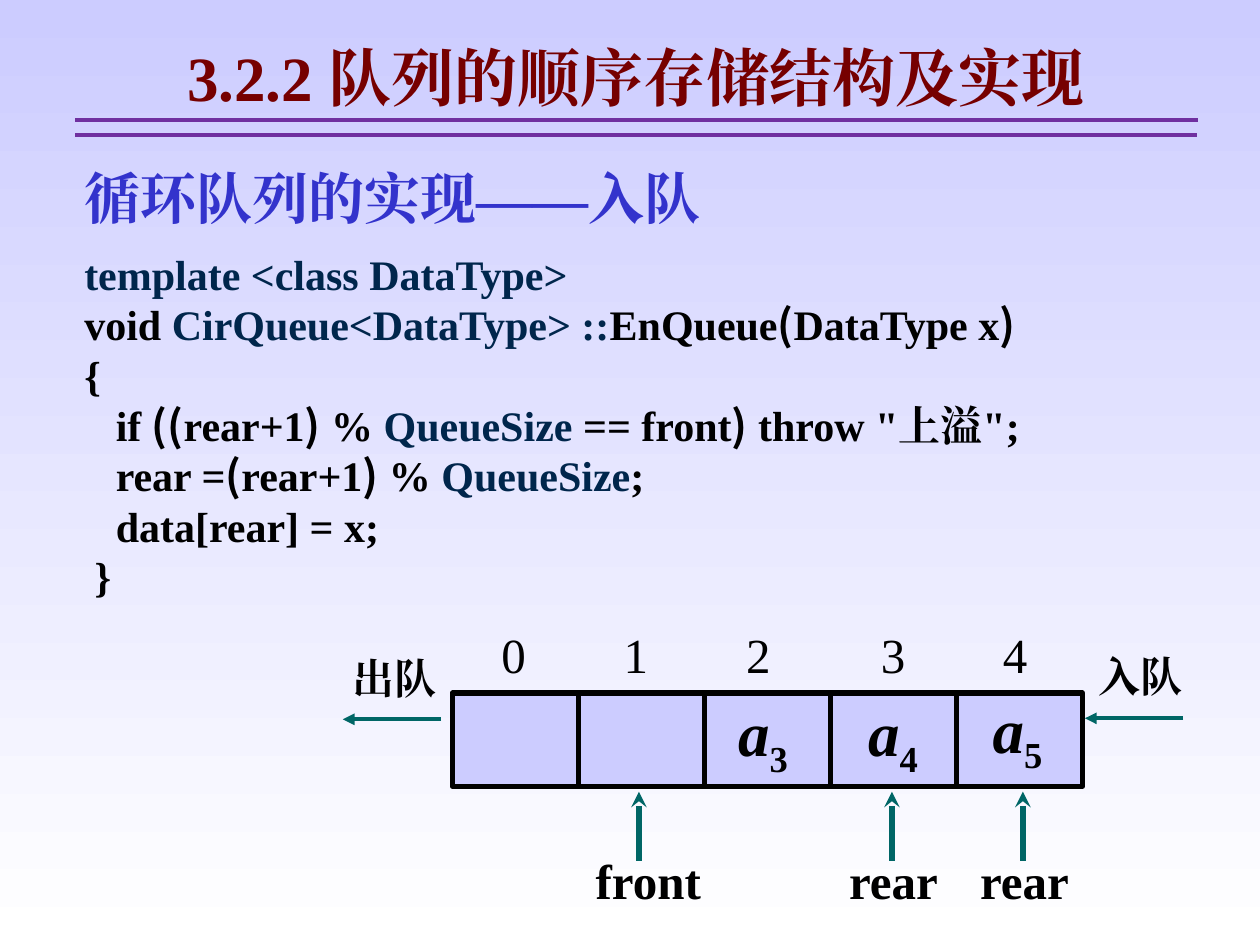
from dataclasses import dataclass
from itertools import groupby

from lxml import etree
from pptx import Presentation
from pptx import util as u
from pptx.dml.color import RGBColor
from pptx.enum import shapes, text
from pptx.oxml import ns

BLACK = RGBColor(0, 0, 0)
WHITE = RGBColor(255, 255, 255)
LAVENDER = RGBColor(0xCC, 0xCC, 0xFF)
MAROON = RGBColor(0x76, 0, 0)
BLUE = RGBColor(0x33, 0x33, 0xCC)
NAVY = RGBColor(0, 0x26, 0x4C)
TEAL = RGBColor(0, 0x66, 0x66)
PURPLE = RGBColor(0x70, 0x30, 0xA0)
SERIF = "Times New Roman"
SANS = "Noto Sans CJK SC"

CELL_LEFT, CELL_TOP, CELL_WIDTH, CELL_HEIGHT = 9.12, 13.97, 2.54, 1.88
INDEX_STOPS = (2.46, 4.93, 7.65, 10.11)

CODE = [
    [("template <class DataType>", NAVY)],
    [("void ", BLACK), ("CirQueue<DataType> ::", NAVY), ("EnQueue(DataType x)", BLACK)],
    [("{", BLACK)],
    [("   if ((rear+1) % ", BLACK), ("QueueSize", NAVY),
     (" == front) throw \"上溢\";", BLACK)],
    [("   rear =(rear+1) % ", BLACK), ("QueueSize", NAVY), (";", BLACK)],
    [("   data[rear] = x;", BLACK)],
    [(" }", BLACK)],
]


@dataclass
class Label:
    text: str
    left: float
    top: float
    width: float
    height: float
    size: float
    color: RGBColor = BLACK
    bold: bool = True


@dataclass
class Element:
    """A queue element such as a3, with its number as a subscript."""
    number: str
    left: float
    top: float


@dataclass
class Line:
    start: tuple[float, float]
    end: tuple[float, float]
    color: RGBColor
    width: float
    head: str = ""


LABELS = [
    Label("循环队列的实现——入队", 1.45, 3.17, 17.15, 1.63, 32, BLUE),
    Label("入队", 21.89, 12.98, 2.74, 1.27, 24),
    Label("出队", 6.86, 13.03, 2.54, 1.27, 24),
    Label("front", 11.76, 17.02, 2.67, 1.45, 28),
    Label("rear", 16.87, 17.02, 2.87, 1.45, 28),
    Label("rear", 19.51, 17.02, 2.87, 1.45, 28),
]
ELEMENTS = [Element("3", 14.63, 14.07), Element("4", 17.25, 14.07), Element("5", 19.76, 14)]
LINES = [
    Line((1.52, 2.41), (24.16, 2.41), PURPLE, 2.25),
    Line((1.52, 2.72), (24.13, 2.72), PURPLE, 2.25),
    Line((23.85, 14.48), (21.87, 14.48), TEAL, 2.25, "triangle"),
    Line((8.89, 14.5), (6.91, 14.5), TEAL, 2.25, "triangle"),
    *(Line((x, 17.35), (x, 15.96), TEAL, 3, "stealth") for x in (12.88, 17.98, 20.62)),
]


def format_run(run, size: float, color: RGBColor, bold: bool = True, font: str = SERIF) -> None:
    run.font.size = u.Pt(size)
    run.font.bold = bold
    run.font.color.rgb = color
    run.font.name = font
    east_asian = etree.SubElement(run._r.get_or_add_rPr(), ns.qn("a:ea"))
    east_asian.set("typeface", font)


def place(shape, left: float, top: float, width: float, height: float) -> None:
    shape.left, shape.top = u.Cm(left), u.Cm(top)
    shape.width, shape.height = u.Cm(width), u.Cm(height)


def add_box(slide, left: float, top: float, width: float, height: float):
    box = slide.shapes.add_textbox(u.Cm(left), u.Cm(top), u.Cm(width), u.Cm(height))
    box.text_frame.word_wrap = True
    return box


def fill_label(shape, label: Label) -> None:
    shape.text_frame.text = label.text
    paragraph = shape.text_frame.paragraphs[0]
    paragraph.line_spacing = u.Pt(label.size * 1.2)
    for run in paragraph.runs:
        format_run(run, label.size, label.color, label.bold)


def add_label(slide, label: Label):
    box = add_box(slide, label.left, label.top, label.width, label.height)
    fill_label(box, label)
    return box


def add_title(slide) -> None:
    label = Label("3.2.2 队列的顺序存储结构及实现", 1.68, 0.64, 22.28, 1.78, 36, MAROON)
    title = slide.shapes.title
    place(title, label.left, label.top, label.width, label.height)
    title.text_frame.vertical_anchor = text.MSO_ANCHOR.TOP
    title.text_frame.auto_size = text.MSO_AUTO_SIZE.NONE
    fill_label(title, label)
    title.text_frame.paragraphs[0].alignment = text.PP_ALIGN.CENTER


def add_code(slide) -> None:
    """Add the listing, with its round brackets in the sans font."""
    frame = add_box(slide, 1.7, 4.88, 22.02, 7.37).text_frame
    frame.margin_left = frame.margin_right = 0
    for index, segments in enumerate(CODE):
        paragraph = frame.add_paragraph() if index else frame.paragraphs[0]
        paragraph.line_spacing = u.Pt(28.8)
        for content, color in segments:
            for is_bracket, characters in groupby(content, lambda c: c in "()"):
                run = paragraph.add_run()
                run.text = "".join(characters)
                format_run(run, 24, color, font=SANS if is_bracket else SERIF)


def add_cell(slide, index: int) -> None:
    cell = slide.shapes.add_shape(
        shapes.MSO_SHAPE.RECTANGLE, u.Cm(CELL_LEFT + index * CELL_WIDTH), u.Cm(CELL_TOP),
        u.Cm(CELL_WIDTH), u.Cm(CELL_HEIGHT))
    cell.shadow.inherit = False
    cell.fill.solid()
    cell.fill.fore_color.rgb = LAVENDER
    cell.line.color.rgb = BLACK
    cell.line.width = u.Pt(3)


def add_indexes(slide) -> None:
    box = add_label(slide, Label("0\t1\t2\t3\t4", 9.86, 12.47, 11.89, 1.45, 28, bold=False))
    properties = box.text_frame.paragraphs[0]._p.get_or_add_pPr()
    tabs = etree.SubElement(properties, ns.qn("a:tabLst"))
    for stop in INDEX_STOPS:
        etree.SubElement(tabs, ns.qn("a:tab"), pos=str(u.Cm(stop)), algn="l")


def add_element(slide, element: Element) -> None:
    box = add_label(slide, Label("a", element.left, element.top, 1.63, 2.01, 36))
    paragraph = box.text_frame.paragraphs[0]
    paragraph.runs[0].font.italic = True
    subscript = paragraph.add_run()
    subscript.text = element.number
    format_run(subscript, 36, BLACK)
    subscript._r.get_or_add_rPr().set("baseline", "-25000")


def add_line(slide, line: Line) -> None:
    connector = slide.shapes.add_connector(
        shapes.MSO_CONNECTOR.STRAIGHT, *map(u.Cm, line.start + line.end))
    connector.line.color.rgb = line.color
    connector.line.width = u.Pt(line.width)
    if line.head:
        etree.SubElement(connector.line._get_or_add_ln(), ns.qn("a:tailEnd"), type=line.head)
    etree.SubElement(connector._element.spPr, ns.qn("a:effectLst"))


def main() -> None:
    presentation = Presentation()
    presentation.slide_width, presentation.slide_height = u.Cm(25.4), u.Cm(19.05)
    slide = presentation.slides.add_slide(presentation.slide_layouts[5])
    background = slide.background.fill
    background.gradient()
    background.gradient_angle = 270
    for stop, color in zip(background.gradient_stops, (LAVENDER, WHITE)):
        stop.color.rgb = color

    add_title(slide)
    add_code(slide)
    for index in range(5):
        add_cell(slide, index)
    add_indexes(slide)
    for label in LABELS:
        add_label(slide, label)
    for element in ELEMENTS:
        add_element(slide, element)
    for line in LINES:
        add_line(slide, line)
    presentation.save("out.pptx")


if __name__ == "__main__":
    main()
